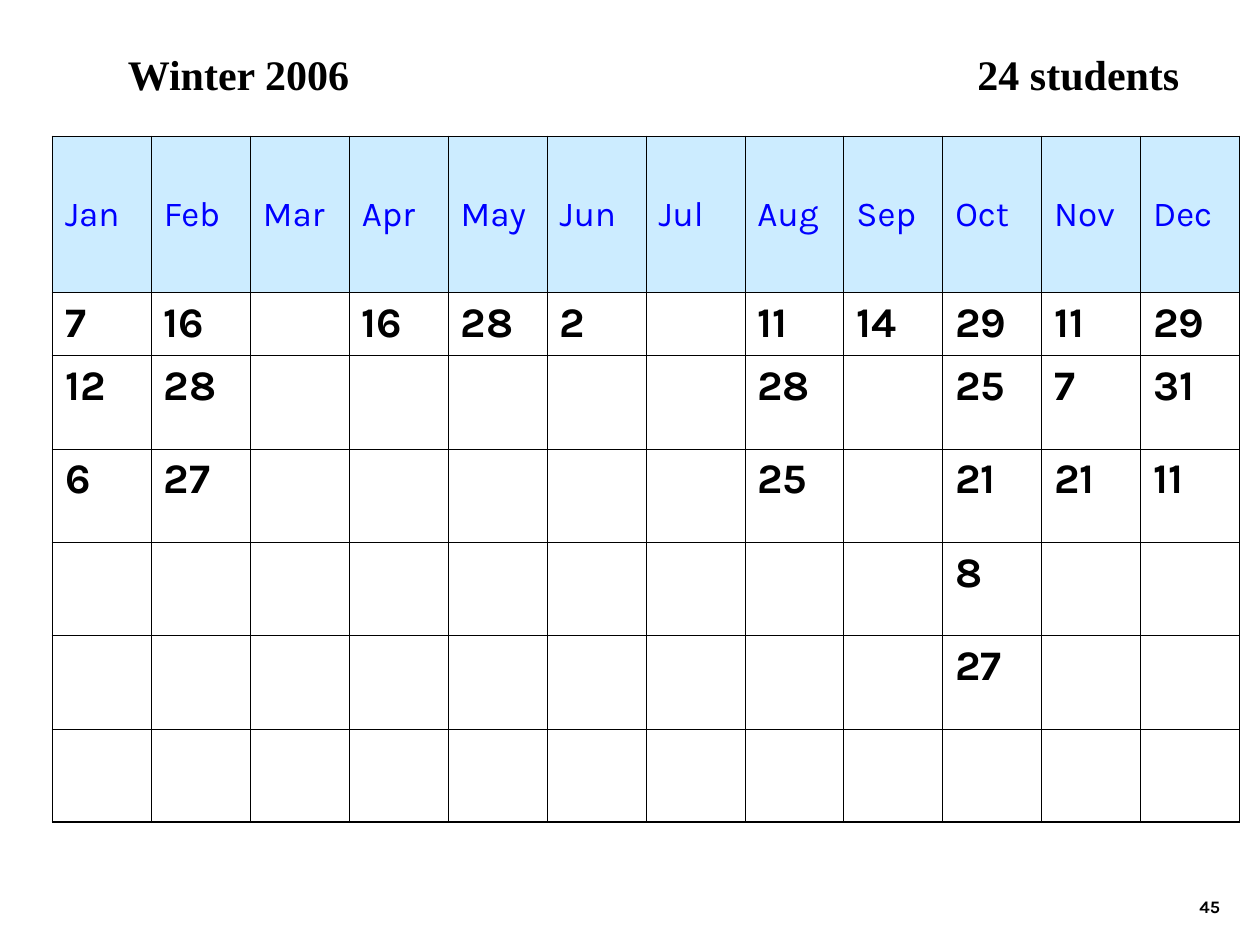
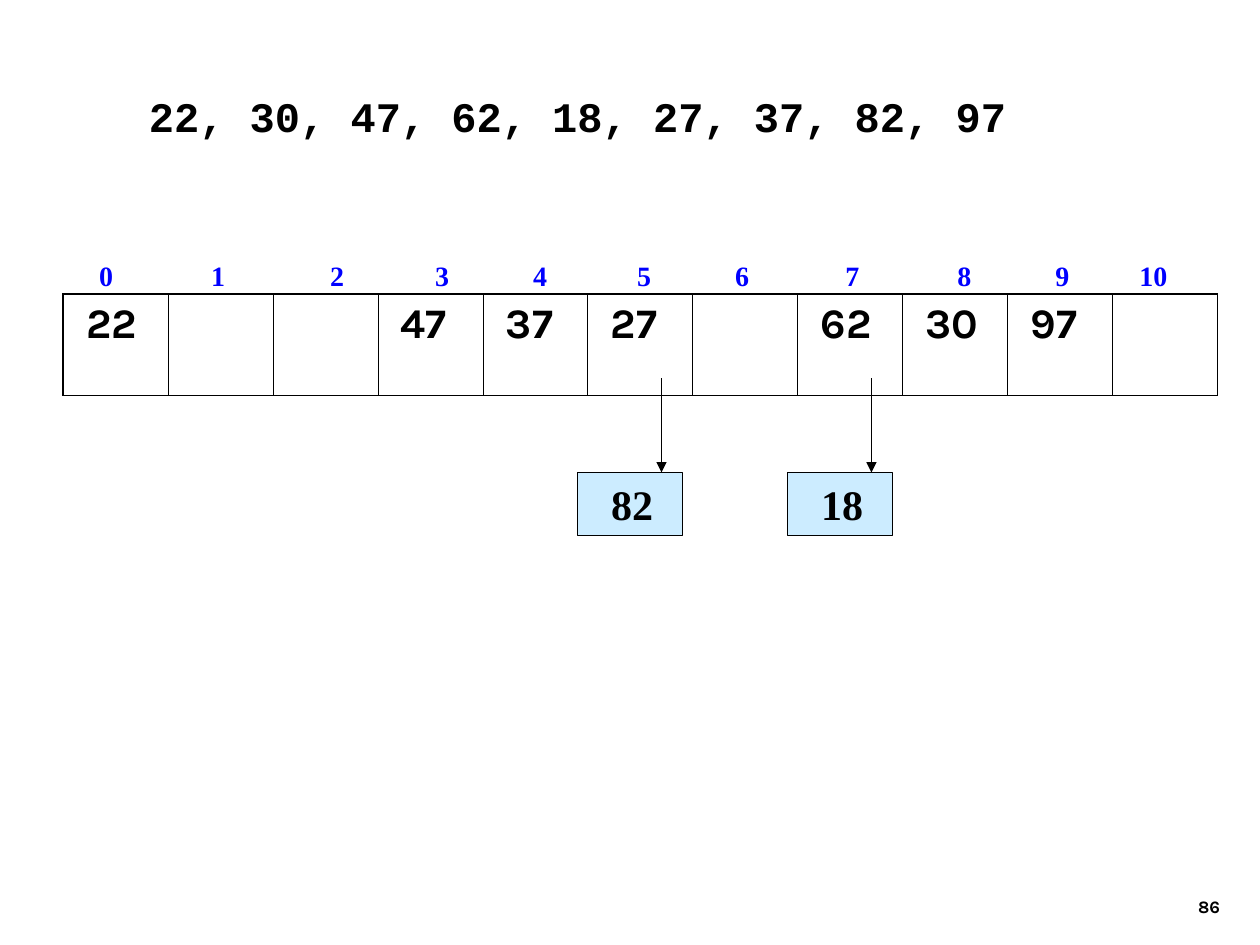
"""Build two slides: a birthday calendar table and a hash table with chaining."""
from lxml.etree import SubElement
from pptx import Presentation
from pptx.dml.color import RGBColor
from pptx.enum.shapes import MSO_CONNECTOR, MSO_SHAPE
from pptx.enum.text import MSO_ANCHOR, PP_ALIGN
from pptx.oxml.ns import qn
from pptx.util import Pt

BLACK, BLUE, PALE = "000000", "0000FF", "CCECFF"
rgb = RGBColor.from_string
PAGE = {"name": "Karla", "size": Pt(10), "bold": True}
HEAD = {"name": "Karla", "size": Pt(20), "bold": False}
ENTRY = {"name": "Karla", "size": Pt(24), "bold": True}
SERIF = {"name": "Times New Roman", "size": Pt(24), "bold": True}
INDEX = {"name": "Times New Roman", "size": Pt(16), "bold": True}
CODE = {"name": "Courier New", "size": Pt(24), "bold": True}


def write(tf, text, fmt, color=BLACK, tabs=(), align="l"):
    tf.word_wrap = True
    p = tf.paragraphs[0]
    p.alignment = PP_ALIGN.LEFT
    if tabs:
        lst = SubElement(p._p.get_or_add_pPr(), qn("a:tabLst"))
        for pos in tabs:
            SubElement(lst, qn("a:tab"), pos=str(Pt(pos)), algn=align)
    r = p.add_run()
    r.text = text
    for key, value in fmt.items():
        setattr(r.font, key, value)
    r.font.color.rgb = rgb(color)
    return p


def add_grid(s, left, top, width, heights, cols):
    rows = len(heights)
    frame = s.shapes.add_table(rows, cols, Pt(left), Pt(top), Pt(width), Pt(sum(heights)))
    table = frame.table
    table.first_row = table.horz_banding = False
    for i, height in enumerate(heights):
        table.rows[i].height = Pt(height)
        for j in range(cols):
            table.columns[j].width = Pt(width / cols)
            cell = table.cell(i, j)
            edges = {"L": j == 0, "R": j == cols - 1, "T": i == 0, "B": i == rows - 1}
            for side, outer in edges.items():
                ln = SubElement(cell._tc.get_or_add_tcPr(), qn(f"a:ln{side}"),
                                w=str(Pt(1.08 if outer else 0.45)))
                SubElement(SubElement(ln, qn("a:solidFill")), qn("a:srgbClr"), val=BLACK)
            cell.fill.background()
    return table


prs = Presentation()
prs.slide_width, prs.slide_height = Pt(720), Pt(540)

slides = []
for number in ("45", "86"):
    s = prs.slides.add_slide(prs.slide_layouts[6])
    tf = s.shapes.add_textbox(Pt(554.4), Pt(491.8), Pt(149.8), Pt(36)).text_frame
    tf.vertical_anchor = MSO_ANCHOR.BOTTOM
    write(tf, number, PAGE).alignment = PP_ALIGN.RIGHT
    slides.append(s)
calendar, hashing = slides

tf = calendar.shapes.add_textbox(Pt(66), Pt(24), Pt(618), Pt(36)).text_frame
write(tf, "Winter 2006\t24 students", SERIF, tabs=[485.5])

birthdays = {
    "Jan": [7, 12, 6], "Feb": [16, 28, 27], "Mar": [], "Apr": [16],
    "May": [28], "Jun": [2], "Jul": [], "Aug": [11, 28, 25],
    "Sep": [14], "Oct": [29, 25, 21, 8, 27], "Nov": [11, 7, 21], "Dec": [29, 31, 11],
}
table = add_grid(calendar, 30, 78, 678.5, [89.3, 36] + [53.3] * 5, len(birthdays))
for j, (month, days) in enumerate(birthdays.items()):
    cell = table.cell(0, j)
    cell.fill.solid()
    cell.fill.fore_color.rgb = rgb(PALE)
    cell.vertical_anchor = MSO_ANCHOR.MIDDLE
    write(cell.text_frame, month, HEAD, BLUE)
    for i, day in enumerate(days, 1):
        write(table.cell(i, j).text_frame, str(day), ENTRY)

tf = hashing.shapes.add_textbox(Pt(18), Pt(144), Pt(672), Pt(26.6)).text_frame
stops = [35.5, 99.5, 167.5, 227.5, 283.5, 343, 399, 462, 526, 582, 634]
write(tf, "".join(f"\t{i}" for i in range(11)), INDEX, BLUE, stops, "ctr")

for left, key in ((330, 82), (450, 18)):
    sp = hashing.shapes.add_shape(MSO_SHAPE.RECTANGLE, Pt(left), Pt(270), Pt(60), Pt(36))
    sp.shadow.inherit = False
    sp.fill.solid()
    sp.fill.fore_color.rgb = rgb(PALE)
    sp.line.color.rgb = rgb(BLACK)
    sp.line.width = Pt(0.75)
    tf = sp.text_frame
    tf.vertical_anchor = MSO_ANCHOR.TOP
    tf.margin_left = Pt(19.2)
    write(tf, str(key), SERIF)

    x = Pt(left + 48)
    sp = hashing.shapes.add_connector(MSO_CONNECTOR.STRAIGHT, x, Pt(216), x, Pt(270))
    sp.line.color.rgb = rgb(BLACK)
    sp.line.width = Pt(0.75)
    spPr = sp._element.spPr
    SubElement(spPr.find(qn("a:ln")), qn("a:tailEnd"), type="triangle")
    SubElement(spPr, qn("a:effectLst"))

buckets = {0: 22, 3: 47, 4: 37, 5: 27, 7: 62, 8: 30, 9: 97}
table = add_grid(hashing, 36, 168, 660, [58], 11)
for j, key in buckets.items():
    cell = table.cell(0, j)
    cell.margin_left = Pt(13.2)
    write(cell.text_frame, str(key), ENTRY)

tf = hashing.shapes.add_textbox(Pt(78), Pt(48), Pt(504), Pt(36)).text_frame
write(tf, "22, 30, 47, 62, 18, 27, 37, 82, 97", CODE)

prs.save("out.pptx")
